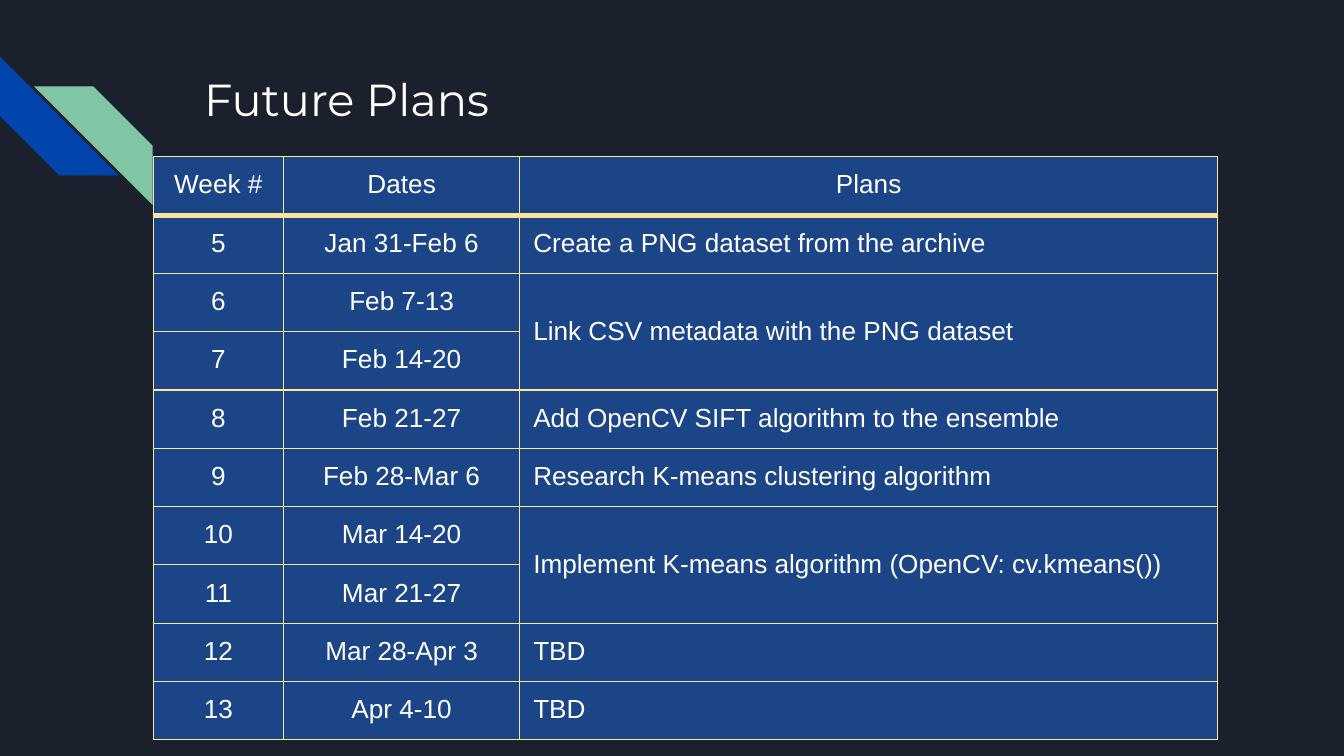
from pptx import Presentation
from pptx.dml.color import RGBColor
from pptx.enum.shapes import MSO_SHAPE
from pptx.enum.text import MSO_ANCHOR, PP_ALIGN
from pptx.oxml import parse_xml
from pptx.oxml.ns import nsdecls
from pptx.util import Inches, Pt

STRIPE = MSO_SHAPE.DIAGONAL_STRIPE
TOP, MIDDLE = MSO_ANCHOR.TOP, MSO_ANCHOR.MIDDLE
LEFT, CENTER = PP_ALIGN.LEFT, PP_ALIGN.CENTER

THEME = {
    "back": "1B212C", "blue": "0145AC", "green": "82C7A5",
    "cell": "1C4587", "line": "FFE599", "text": "FFFFFF",
    "head": ("Montserrat", 24), "body": ("Arial", 14),
    "thin": 0.75, "thick": 3,
}
PLANS = [
    ("Week #", "Dates", "Plans"),
    ("5", "Jan 31-Feb 6", "Create a PNG dataset from the archive"),
    ("6", "Feb 7-13", "Link CSV metadata with the PNG dataset"),
    ("7", "Feb 14-20", ""),
    ("8", "Feb 21-27", "Add OpenCV SIFT algorithm to the ensemble"),
    ("9", "Feb 28-Mar 6", "Research K-means clustering algorithm"),
    ("10", "Mar 14-20", "Implement K-means algorithm (OpenCV: cv.kmeans())"),
    ("11", "Mar 21-27", ""),
    ("12", "Mar 28-Apr 3", "TBD"),
    ("13", "Apr 4-10", "TBD"),
]
MERGED = (2, 6)


def paint(fill, name):
    fill.solid()
    fill.fore_color.rgb = RGBColor.from_string(THEME[name])


def write(para, text, style, align):
    para.text = text
    para.alignment = align
    para.font.name, size = THEME[style]
    para.font.size = Pt(size)
    para.font.color.rgb = RGBColor.from_string(THEME["text"])


deck = Presentation()
deck.slide_width = Inches(10)
deck.slide_height = deck.slide_width * 9 // 16
unit = deck.slide_width // 100
slide = deck.slides.add_slide(deck.slide_layouts[6])
paint(slide.background.fill, "back")

side = int(8.84 * unit)
for left, top, turn, color in ((0, 4.21, 270, "blue"), (2.52, 6.42, 90, "green")):
    stripe = slide.shapes.add_shape(
        STRIPE, int(left * unit), int(top * unit), side, side)
    stripe.rotation = turn
    stripe.adjustments[0] = 0.5
    stripe.shadow.inherit = False
    paint(stripe.fill, color)
    stripe.line.fill.background()

title = slide.shapes.add_textbox(
    int(14.2 * unit), int(4.34 * unit), 77 * unit, 10 * unit)
frame = title.text_frame
frame.word_wrap = True
frame.vertical_anchor = TOP
frame.margin_left = frame.margin_right = unit
frame.margin_top = frame.margin_bottom = unit
write(frame.paragraphs[0], "Future Plans", "head", LEFT)

shares = (9.7, 17.58, 51.92)
row_high = int(4.17 * unit)
table = slide.shapes.add_table(
    len(PLANS), len(shares), int(11.4 * unit), int(11.66 * unit),
    int(sum(shares) * unit), row_high * len(PLANS)).table
for column, share in zip(table.columns, shares):
    column.width = int(share * unit)

for y, plan in enumerate(PLANS):
    table.rows[y].height = row_high
    for x, text in enumerate(plan):
        cell = table.cell(y, x)
        cell.margin_left = cell.margin_right = unit
        cell.margin_top = cell.margin_bottom = unit if text else 0
        cell.vertical_anchor = MIDDLE if x == 2 and y in MERGED else TOP
        align = LEFT if x == 2 and y > 0 else CENTER
        write(cell.text_frame.paragraphs[0], text, "body", align)
        paint(cell.fill, "cell")
        props = cell._tc.get_or_add_tcPr()
        for spot, edge in enumerate("LRTB"):
            bold = (y, edge) in ((0, "B"), (1, "T"))
            width = Pt(THEME["thick" if bold else "thin"])
            props.insert(spot, parse_xml(
                f'<a:ln{edge} {nsdecls("a")} w="{width}"><a:solidFill>'
                f'<a:srgbClr val="{THEME["line"]}"/></a:solidFill></a:ln{edge}>'))

for y in MERGED:
    table.cell(y, 2).merge(table.cell(y + 1, 2))

deck.save("out.pptx")
